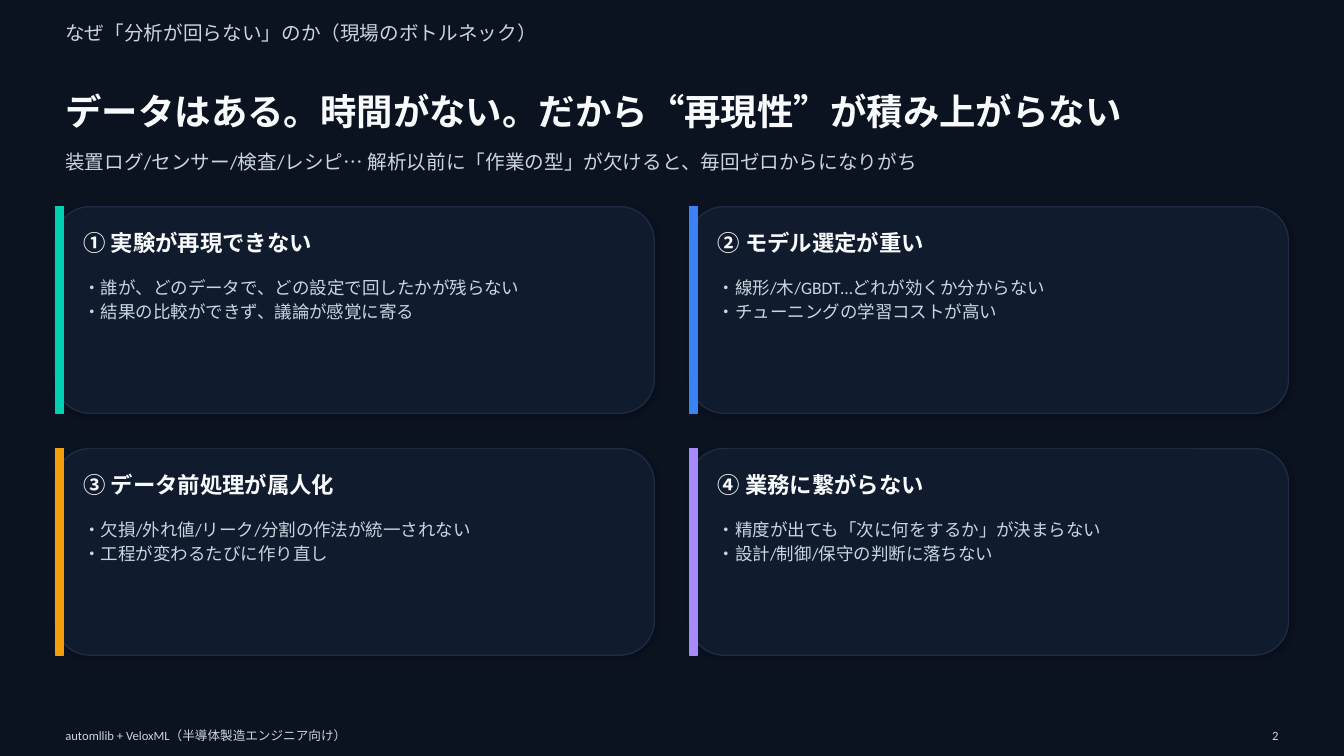
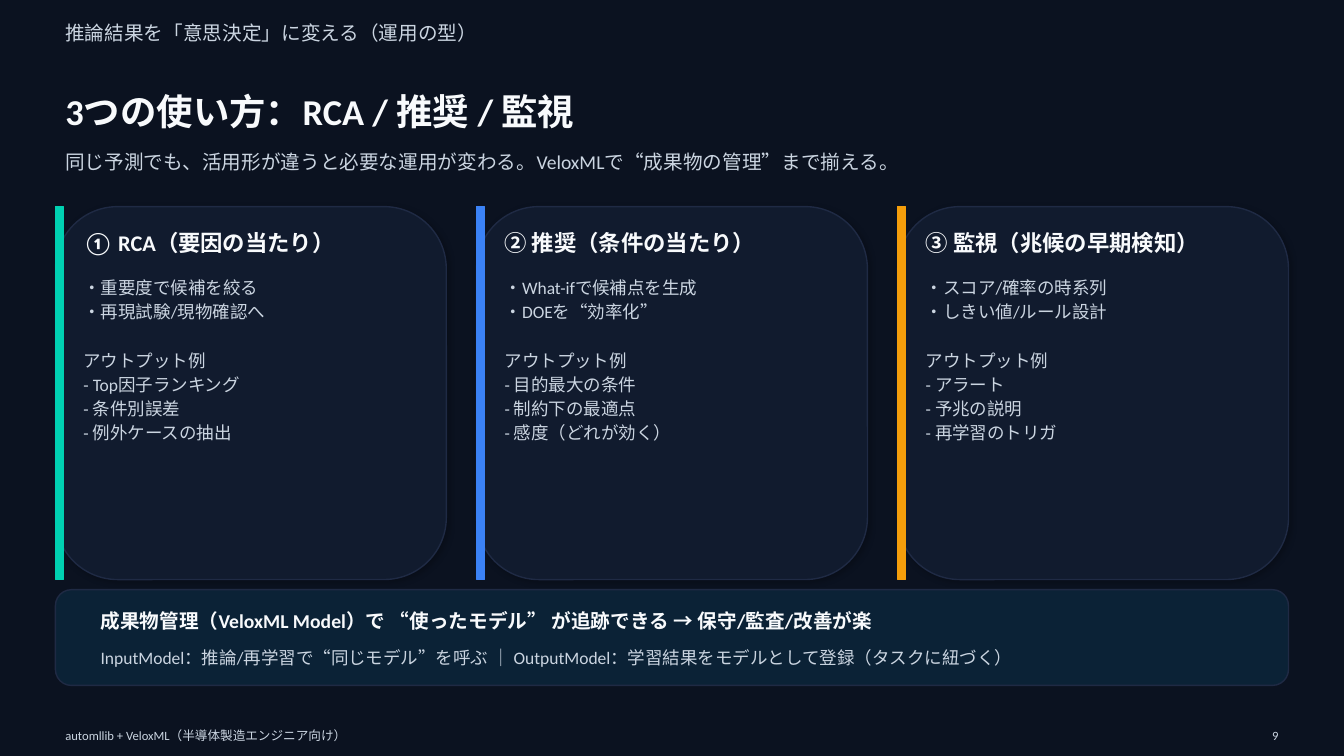
from dataclasses import dataclass

from lxml.etree import SubElement
from pptx import Presentation
from pptx.dml.color import RGBColor
from pptx.enum.shapes import MSO_SHAPE
from pptx.enum.text import MSO_ANCHOR, PP_ALIGN
from pptx.oxml.ns import qn
from pptx.util import Inches, Pt


@dataclass(frozen=True)
class Theme:
    font: str = "Calibri"
    background: str = "0B1220"
    card: str = "111B2E"
    border: str = "1F2A44"
    banner: str = "0B253A"
    strong: str = "F8FAFC"
    muted: str = "CBD5E1"
    accents: tuple = ("00D1B2", "3B82F6", "F59E0B", "A78BFA")
    title_size: float = 26
    heading_size: float = 16
    lead_size: float = 14
    body_size: float = 12.5
    footer_size: float = 9
    body_spacing: float = 1.15
    group_gap: float = 17.5


THEME = Theme()
SLIDE_WIDTH, SLIDE_HEIGHT = 13.33, 7.5
MARGIN = 0.55
CONTENT_WIDTH = 12.23
CARDS_TOP = 2.05
ACCENT_WIDTH = 0.08
CARD_PADDING = 0.18
FOOTER = "automllib + VeloxML（半導体製造エンジニア向け）"
OUTPUT_HEADING = "アウトプット例"

PAGES = [
    {
        "number": 2,
        "section": "なぜ「分析が回らない」のか（現場のボトルネック）",
        "title": "データはある。時間がない。だから“再現性”が積み上がらない",
        "subtitle": "装置ログ/センサー/検査/レシピ… 解析以前に「作業の型」が欠けると、毎回ゼロからになりがち",
        "columns": 2,
        "gap": 0.35,
        "card_height": 2.05,
        "cards": [
            ("① 実験が再現できない",
             ["・誰が、どのデータで、どの設定で回したかが残らない",
              "・結果の比較ができず、議論が感覚に寄る"]),
            ("② モデル選定が重い",
             ["・線形/木/GBDT…どれが効くか分からない",
              "・チューニングの学習コストが高い"]),
            ("③ データ前処理が属人化",
             ["・欠損/外れ値/リーク/分割の作法が統一されない",
              "・工程が変わるたびに作り直し"]),
            ("④ 業務に繋がらない",
             ["・精度が出ても「次に何をするか」が決まらない",
              "・設計/制御/保守の判断に落ちない"]),
        ],
        "banner": None,
    },
    {
        "number": 9,
        "section": "推論結果を「意思決定」に変える（運用の型）",
        "title": "3つの使い方：RCA / 推奨 / 監視",
        "subtitle": "同じ予測でも、活用形が違うと必要な運用が変わる。VeloxMLで“成果物の管理”まで揃える。",
        "columns": 3,
        "gap": 0.3,
        "card_height": 3.7,
        "cards": [
            ("① RCA（要因の当たり）",
             ["・重要度で候補を絞る", "・再現試験/現物確認へ", OUTPUT_HEADING,
              "- Top因子ランキング", "- 条件別誤差", "- 例外ケースの抽出"]),
            ("② 推奨（条件の当たり）",
             ["・What-ifで候補点を生成", "・DOEを“効率化”", OUTPUT_HEADING,
              "- 目的最大の条件", "- 制約下の最適点", "- 感度（どれが効く）"]),
            ("③ 監視（兆候の早期検知）",
             ["・スコア/確率の時系列", "・しきい値/ルール設計", OUTPUT_HEADING,
              "- アラート", "- 予兆の説明", "- 再学習のトリガ"]),
        ],
        "banner": (
            "成果物管理（VeloxML Model）で “使ったモデル” が追跡できる → 保守/監査/改善が楽",
            "InputModel：推論/再学習で“同じモデル”を呼ぶ ｜ OutputModel：学習結果をモデルとして登録（タスクに紐づく）",
        ),
    },
]


def add_box(slide, kind, left, top, width, height, fill, line):
    shape = slide.shapes.add_shape(
        kind, Inches(left), Inches(top), Inches(width), Inches(height))
    shape.shadow.inherit = False
    shape.fill.solid()
    shape.fill.fore_color.rgb = RGBColor.from_string(fill)
    shape.line.color.rgb = RGBColor.from_string(line)
    shape.line.width = Pt(1)
    return shape


def add_text(slide, lines, left, top, width, height, size, color=THEME.muted,
             bold=False, anchor=MSO_ANCHOR.MIDDLE, align=PP_ALIGN.LEFT):
    """Add a wrapping text box with one paragraph per line; return its paragraphs."""
    frame = slide.shapes.add_textbox(
        Inches(left), Inches(top), Inches(width), Inches(height)).text_frame
    frame.word_wrap = True
    frame.vertical_anchor = anchor
    frame.text = "\n".join(lines)
    for paragraph in frame.paragraphs:
        paragraph.alignment = align
        for run in paragraph.runs:
            run.font.name = THEME.font
            run.font.size = Pt(size)
            run.font.bold = bold
            run.font.color.rgb = RGBColor.from_string(color)
    return frame.paragraphs


presentation = Presentation()
presentation.slide_width = Inches(SLIDE_WIDTH)
presentation.slide_height = Inches(SLIDE_HEIGHT)
blank_layout = presentation.slide_layouts[6]

for page in PAGES:
    slide = presentation.slides.add_slide(blank_layout)
    slide.background.fill.solid()
    slide.background.fill.fore_color.rgb = RGBColor.from_string(THEME.background)

    # Header
    add_box(slide, MSO_SHAPE.RECTANGLE, 0, 0, SLIDE_WIDTH, 0.62,
            THEME.background, THEME.background)
    add_text(slide, [page["section"]], MARGIN, 0.15, CONTENT_WIDTH, 0.35, THEME.lead_size)
    add_text(slide, [page["title"]], MARGIN, 0.85, CONTENT_WIDTH, 0.5,
             THEME.title_size, THEME.strong, bold=True)
    add_text(slide, [page["subtitle"]], MARGIN, 1.35, CONTENT_WIDTH, 0.5, THEME.lead_size)

    # Card grid
    columns, gap, height = page["columns"], page["gap"], page["card_height"]
    width = (CONTENT_WIDTH - gap * (columns - 1)) / columns
    for index, (heading, lines) in enumerate(page["cards"]):
        row, column = divmod(index, columns)
        left = MARGIN + column * (width + gap)
        top = CARDS_TOP + row * (height + gap)
        accent = THEME.accents[index]

        card = add_box(slide, MSO_SHAPE.ROUNDED_RECTANGLE, left, top, width, height,
                       THEME.card, THEME.border)
        effects = card._element.spPr.find(qn("a:effectLst"))
        shadow = SubElement(effects, qn("a:outerShdw"), blurRad=str(Pt(4)),
                            dist=str(Pt(1.5)), dir=str(45 * 60000), rotWithShape="0")
        shadow_color = SubElement(shadow, qn("a:srgbClr"), val="000000")
        SubElement(shadow_color, qn("a:alpha"), val="22000")

        add_box(slide, MSO_SHAPE.RECTANGLE, left, top, ACCENT_WIDTH, height, accent, accent)
        text_left, text_width = left + CARD_PADDING, width - 0.35
        add_text(slide, [heading], text_left, top + CARD_PADDING, text_width, 0.35,
                 THEME.heading_size, THEME.strong, bold=True)
        paragraphs = add_text(slide, lines, text_left, top + 0.62, text_width, height - 0.78,
                              THEME.body_size, anchor=MSO_ANCHOR.TOP)
        for paragraph in paragraphs:
            paragraph.line_spacing = THEME.body_spacing
            if paragraph.text == OUTPUT_HEADING:
                paragraph.space_before = Pt(THEME.group_gap)

    # Closing banner
    if page["banner"]:
        message, detail = page["banner"]
        banner = add_box(slide, MSO_SHAPE.ROUNDED_RECTANGLE, MARGIN, 5.85, CONTENT_WIDTH, 0.95,
                         THEME.banner, THEME.border)
        banner_color = banner._element.spPr.find(qn("a:solidFill")).find(qn("a:srgbClr"))
        SubElement(banner_color, qn("a:alpha"), val="88000")
        add_text(slide, [message], 0.9, 5.98, 11.53, 0.35,
                 THEME.lead_size, THEME.strong, bold=True)
        add_text(slide, [detail], 0.9, 6.35, 11.53, 0.35, THEME.body_size)

    # Footer
    add_box(slide, MSO_SHAPE.RECTANGLE, 0, 7.05, SLIDE_WIDTH, 0.45,
            THEME.background, THEME.background)
    add_text(slide, [FOOTER], MARGIN, 7.17, CONTENT_WIDTH - 1, 0.25, THEME.footer_size)
    add_text(slide, [str(page["number"])], MARGIN + CONTENT_WIDTH - 0.3, 7.17, 0.3, 0.25,
             THEME.footer_size, align=PP_ALIGN.RIGHT)

presentation.save("out.pptx")
